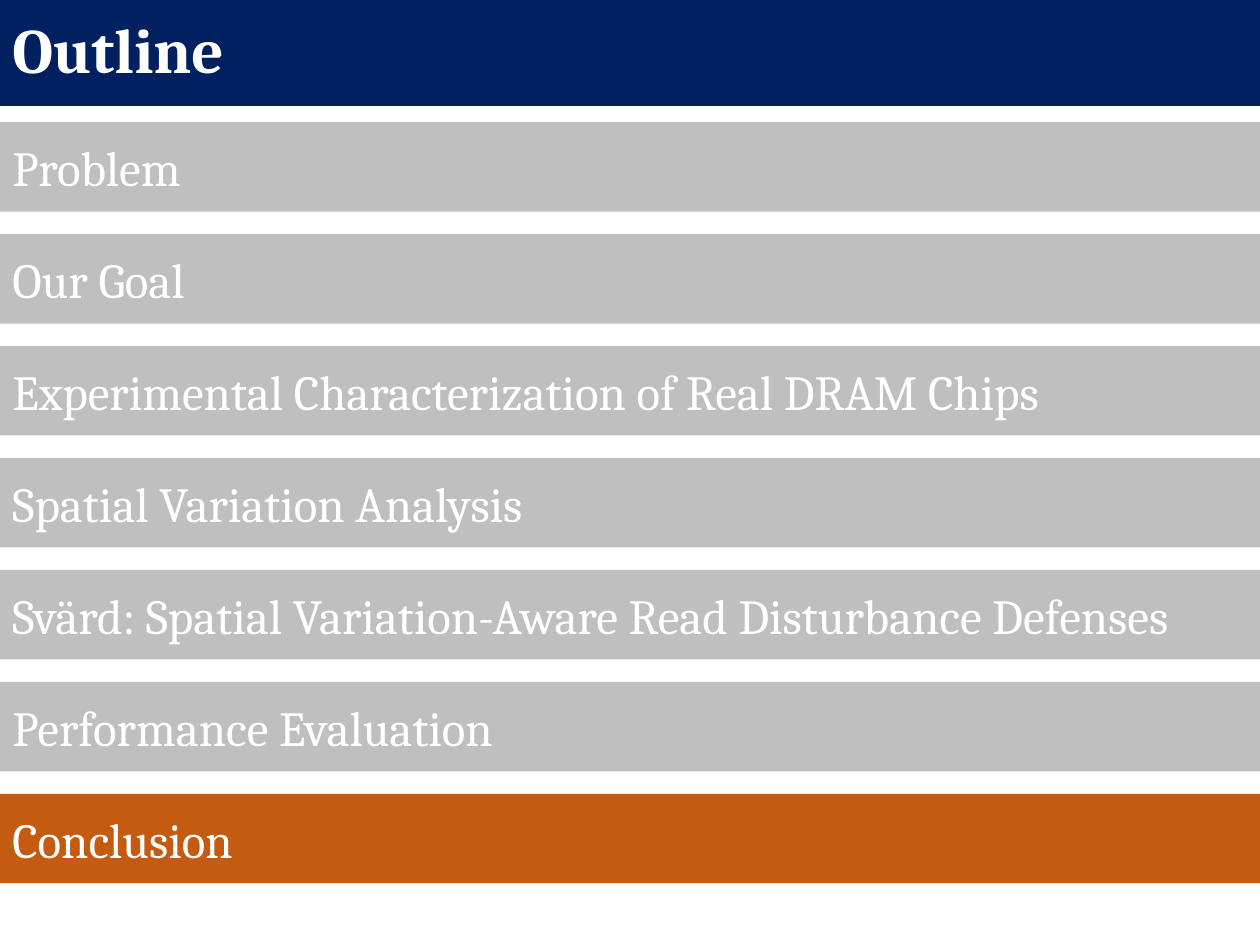
from pptx import Presentation
from pptx.dml.color import RGBColor
from pptx.enum.shapes import MSO_SHAPE
from pptx.enum.text import MSO_ANCHOR, PP_ALIGN
from pptx.util import Inches, Pt

FONT = "Cambria"
WHITE, NAVY, GRAY, ORANGE = "FFFFFF", "002060", "BFBFBF", "C55A11"
SLIDE_WIDTH, SLIDE_HEIGHT = 10, 7.5
TITLE_HEIGHT = 0.84
ROW_HEIGHT = 0.71
FIRST_ROW_TOP, LAST_ROW_TOP = 0.97, 6.3

SECTIONS = [
    "Problem",
    "Our Goal",
    "Experimental Characterization of Real DRAM Chips",
    "Spatial Variation Analysis",
    "Svärd: Spatial Variation-Aware Read Disturbance Defenses",
    "Performance Evaluation",
    "Conclusion",
]
CURRENT_SECTION = "Conclusion"


def color(value):
    return RGBColor.from_string(value)


def write_text(shape, text, size=28, bold=False, text_color=WHITE, line_spacing=1.0):
    frame = shape.text_frame
    frame.word_wrap = True
    frame.vertical_anchor = MSO_ANCHOR.MIDDLE
    paragraph = frame.paragraphs[0]
    paragraph.alignment = PP_ALIGN.LEFT
    paragraph.line_spacing = line_spacing
    run = paragraph.add_run()
    run.text = text
    run.font.name = FONT
    run.font.size = Pt(size)
    run.font.bold = bold
    run.font.color.rgb = color(text_color)


def add_bar(slide, box, fill, text, **text_format):
    shape = slide.shapes.add_shape(MSO_SHAPE.RECTANGLE, *map(Inches, box))
    shape.shadow.inherit = False
    shape.fill.solid()
    shape.fill.fore_color.rgb = color(fill)
    shape.line.fill.background()
    write_text(shape, text, **text_format)


def add_outline(slide, box, sections, current):
    """Stack one bar per section evenly in the box and highlight the current one."""
    left, top, width, height = box
    pitch = (height - ROW_HEIGHT) / (len(sections) - 1)
    for row, section in enumerate(sections):
        fill = ORANGE if section == current else GRAY
        add_bar(slide, (left, top + row * pitch, width, ROW_HEIGHT), fill, section)


def main():
    presentation = Presentation()
    presentation.slide_width = Inches(SLIDE_WIDTH)
    presentation.slide_height = Inches(SLIDE_HEIGHT)
    slide = presentation.slides.add_slide(presentation.slide_layouts[6])

    # Title band
    add_bar(slide, (0, 0, SLIDE_WIDTH, TITLE_HEIGHT), NAVY, "Outline",
            size=36, bold=True, line_spacing=0.9)

    # Section list
    outline_height = LAST_ROW_TOP + ROW_HEIGHT - FIRST_ROW_TOP
    add_outline(slide, (0, FIRST_ROW_TOP, SLIDE_WIDTH, outline_height),
                SECTIONS, CURRENT_SECTION)

    presentation.save("out.pptx")


if __name__ == "__main__":
    main()
